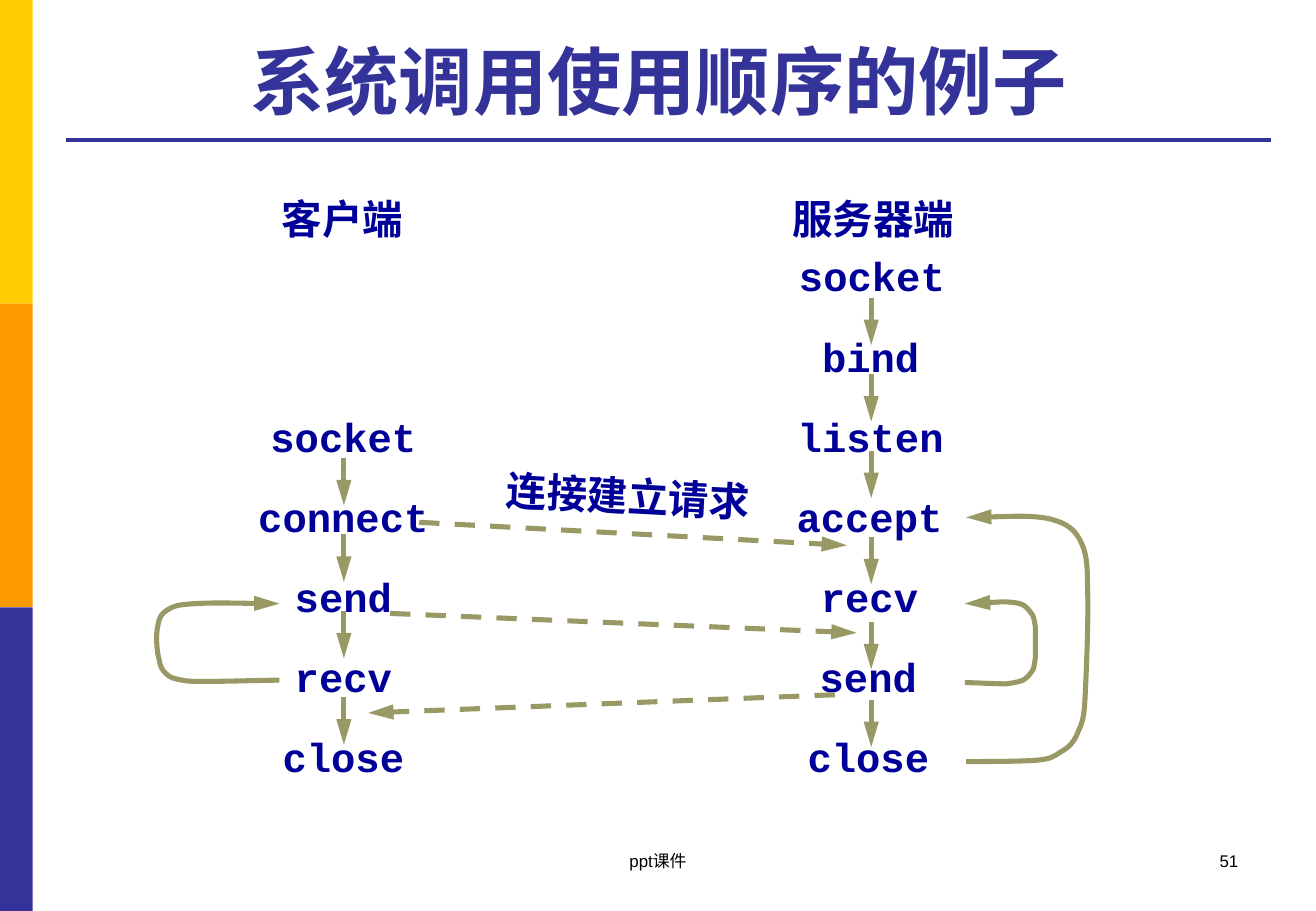
"""Build the slide on the order of socket system calls at client and server."""
from dataclasses import dataclass
from itertools import chain

from lxml.etree import SubElement
from pptx import Presentation
from pptx.dml.color import RGBColor
from pptx.enum.dml import MSO_LINE_DASH_STYLE as Dash
from pptx.enum.shapes import MSO_CONNECTOR as Connector, MSO_SHAPE as Shape
from pptx.enum.text import MSO_ANCHOR as Anchor, MSO_AUTO_SIZE as AutoSize, PP_ALIGN as Align
from pptx.oxml.ns import qn
from pptx.shapes.base import BaseShape
from pptx.shapes.shapetree import SlideShapes
from pptx.util import Pt

PX = 9144
SLIDE_WIDTH, SLIDE_HEIGHT = 1083, 750
YELLOW = RGBColor(0xFF, 0xCC, 0x00)
ORANGE = RGBColor(0xFF, 0x99, 0x00)
INDIGO = RGBColor(0x33, 0x33, 0x99)
NAVY = RGBColor(0x00, 0x00, 0x99)
OLIVE = RGBColor(0x99, 0x99, 0x66)
BLACK = RGBColor(0x00, 0x00, 0x00)
BAND_HEIGHT = 250
FIRST_CALL_TOP, CALL_PITCH, CALL_HEIGHT = 202, 66, 51
LETTER_WIDTH, CALL_PADDING = 20, 21
STEP_LENGTH = 39

Point = tuple[int, int]


@dataclass(frozen=True)
class Label:
    text: str
    left: int
    top: int
    width: int
    height: int
    size: int = 24
    color: RGBColor = NAVY
    font: str = "Arial"
    bold: bool = True
    align: Align = Align.LEFT
    anchor: Anchor = Anchor.TOP
    wrap: bool = False
    rotation: float = 0


@dataclass(frozen=True)
class Stroke:
    start: Point
    end: Point
    color: RGBColor = OLIVE
    weight: float = 3
    dashed: bool = False
    arrow: bool = True


@dataclass(frozen=True)
class Side:
    calls: tuple[str, ...]
    first_row: int
    centers: tuple[int, ...]
    arrow_x: int
    arrow_tops: tuple[int, ...]


BAND_COLORS = (YELLOW, ORANGE, INDIGO)
TITLE_RULE = Stroke((54, 115), (1046, 115), INDIGO, 2.25, arrow=False)

LABELS = (
    Label("系统调用使用顺序的例子 ", 54, 20, 991, 87, 44, INDIGO,
          align=Align.CENTER, anchor=Anchor.BOTTOM, wrap=True),
    Label("服务器端", 642, 155, 155, 51),
    Label("客户端", 222, 155, 122, 51),
    Label("连接建立请求", 407, 383, 222, 50, rotation=3.1),
    Label("51", 776, 695, 253, 50, 10, BLACK, bold=False, align=Align.RIGHT, wrap=True),
    Label("ppt课件", 370, 695, 343, 50, 10, BLACK, bold=False, align=Align.CENTER, wrap=True),
)

SERVER = Side(("socket", "bind", "listen", "accept", "recv", "send", "close"), 0,
              (717, 716, 716, 715, 715, 714, 714), 717, (245, 308, 371, 442, 512, 576))
CLIENT = Side(("socket", "connect", "send", "recv", "close"), 2,
              (282,) * 5, 283, (377, 440, 503, 574))

MESSAGES = (
    Stroke((345, 430), (697, 449), dashed=True),
    Stroke((321, 505), (705, 521), dashed=True),
    Stroke((687, 572), (303, 587), dashed=True),
)

CLIENT_LOOP = (
    (230, 560), (220, 560), (185, 561), (172, 561), (158, 561), (155, 561), (150, 560),
    (144, 559), (140, 558), (137, 555), (134, 552), (132, 550), (131, 543),
    (129, 537), (128, 522), (130, 515), (131, 508), (133, 505), (138, 502),
    (143, 499), (145, 498), (160, 497), (176, 496), (216, 497), (230, 497),
)
REQUEST_LOOP = (
    (794, 562), (800, 562), (820, 563), (828, 563), (836, 562), (839, 561), (842, 560),
    (845, 558), (847, 556), (849, 553), (851, 551), (851, 548), (852, 542),
    (852, 536), (852, 523), (852, 516), (851, 510), (851, 507), (848, 504),
    (845, 500), (843, 497), (834, 496), (825, 495), (802, 497), (794, 497),
)
ACCEPT_LOOP = (
    (795, 627), (804, 627), (839, 627), (852, 626), (865, 625), (867, 623), (873, 619),
    (879, 616), (884, 611), (887, 603), (890, 596), (892, 594), (893, 574),
    (894, 554), (896, 506), (895, 484), (895, 463), (894, 455), (889, 445),
    (884, 436), (879, 431), (863, 427), (848, 424), (809, 426), (795, 426),
)


def add_arrowhead(shape: BaseShape) -> None:
    """Put a long triangle at the end of the outline."""
    outline = shape.element.spPr.find(qn("a:ln"))
    SubElement(outline, qn("a:tailEnd"), type="triangle", w="med", len="lg")


def add_band(shapes: SlideShapes, row: int, color: RGBColor) -> None:
    """Draw one block of the coloured left edge."""
    band = shapes.add_shape(Shape.RECTANGLE, 0, row * BAND_HEIGHT * PX, 27 * PX, BAND_HEIGHT * PX)
    band.shadow.inherit = False
    band.fill.solid()
    band.fill.fore_color.rgb = color
    band.line.fill.background()


def add_label(shapes: SlideShapes, label: Label) -> None:
    """Draw one line of text."""
    box = shapes.add_textbox(label.left * PX, label.top * PX, label.width * PX, label.height * PX)
    box.rotation = label.rotation
    frame = box.text_frame
    frame.word_wrap = label.wrap
    frame.auto_size = AutoSize.NONE if label.wrap else AutoSize.SHAPE_TO_FIT_TEXT
    frame.vertical_anchor = label.anchor
    paragraph = frame.paragraphs[0]
    paragraph.alignment = label.align
    run = paragraph.add_run()
    run.text = label.text
    run.font.name = label.font
    run.font.size = Pt(label.size)
    run.font.bold = label.bold
    run.font.color.rgb = label.color


def add_stroke(shapes: SlideShapes, stroke: Stroke) -> None:
    """Draw one straight line or arrow."""
    ends = (length * PX for length in chain(stroke.start, stroke.end))
    connector = shapes.add_connector(Connector.STRAIGHT, *ends)
    connector.line.color.rgb = stroke.color
    connector.line.width = Pt(stroke.weight)
    if stroke.dashed:
        connector.line.dash_style = Dash.DASH
    if stroke.arrow:
        add_arrowhead(connector)
    SubElement(connector.element.spPr, qn("a:effectLst"))


def add_loop(shapes: SlideShapes, controls: tuple[Point, ...]) -> None:
    """Draw one curved arrow through joined cubic curves."""
    builder = shapes.build_freeform(*controls[0], scale=PX)
    builder.add_line_segments(controls[1:], close=False)
    loop = builder.convert_to_shape()
    curve = next(loop.element.spPr.iter(qn("a:path")))
    segments = curve.findall(qn("a:lnTo"))
    for first in range(0, len(segments), 3):
        cubic = SubElement(curve, qn("a:cubicBezTo"))
        for segment in segments[first:first + 3]:
            cubic.append(segment[0])
            curve.remove(segment)
    loop.shadow.inherit = False
    loop.fill.background()
    loop.line.color.rgb = OLIVE
    loop.line.width = Pt(3)
    add_arrowhead(loop)


def add_side(shapes: SlideShapes, side: Side) -> None:
    """Draw the calls of one side and the arrows between them."""
    for row, (call, center) in enumerate(zip(side.calls, side.centers), side.first_row):
        width = LETTER_WIDTH * len(call) + CALL_PADDING
        add_label(shapes, Label(call, center - width // 2, FIRST_CALL_TOP + row * CALL_PITCH,
                                width, CALL_HEIGHT, font="Courier New", align=Align.CENTER))
    for top in side.arrow_tops:
        add_stroke(shapes, Stroke((side.arrow_x, top), (side.arrow_x, top + STEP_LENGTH)))


def main() -> None:
    """Build and save the slide."""
    deck = Presentation()
    deck.slide_width, deck.slide_height = SLIDE_WIDTH * PX, SLIDE_HEIGHT * PX
    shapes = deck.slides.add_slide(deck.slide_layouts[6]).shapes
    for row, color in enumerate(BAND_COLORS):
        add_band(shapes, row, color)
    for label in LABELS:
        add_label(shapes, label)
    for side in (SERVER, CLIENT):
        add_side(shapes, side)
    for loop in (CLIENT_LOOP, REQUEST_LOOP, ACCEPT_LOOP):
        add_loop(shapes, loop)
    for stroke in (TITLE_RULE, *MESSAGES):
        add_stroke(shapes, stroke)
    deck.save("out.pptx")


if __name__ == "__main__":
    main()
